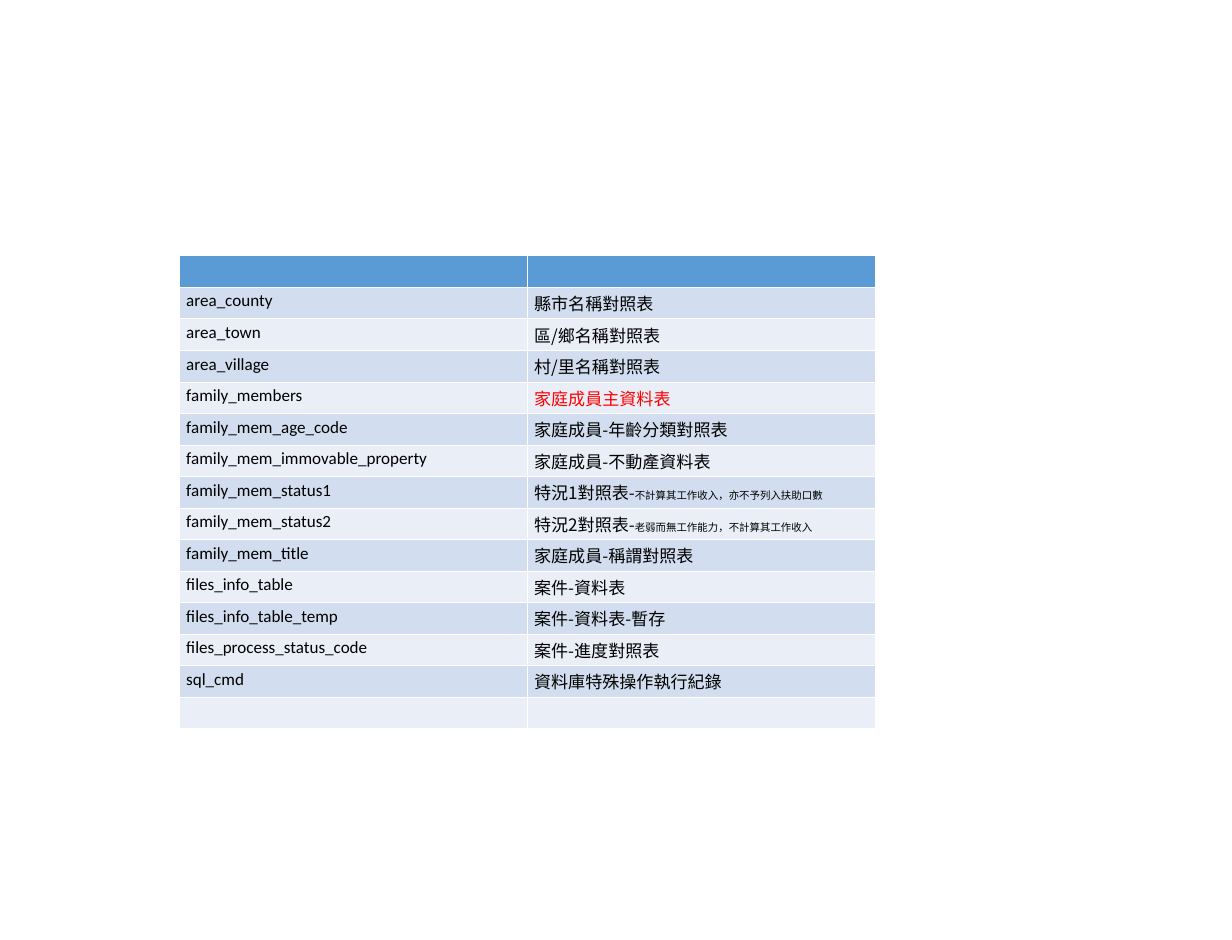
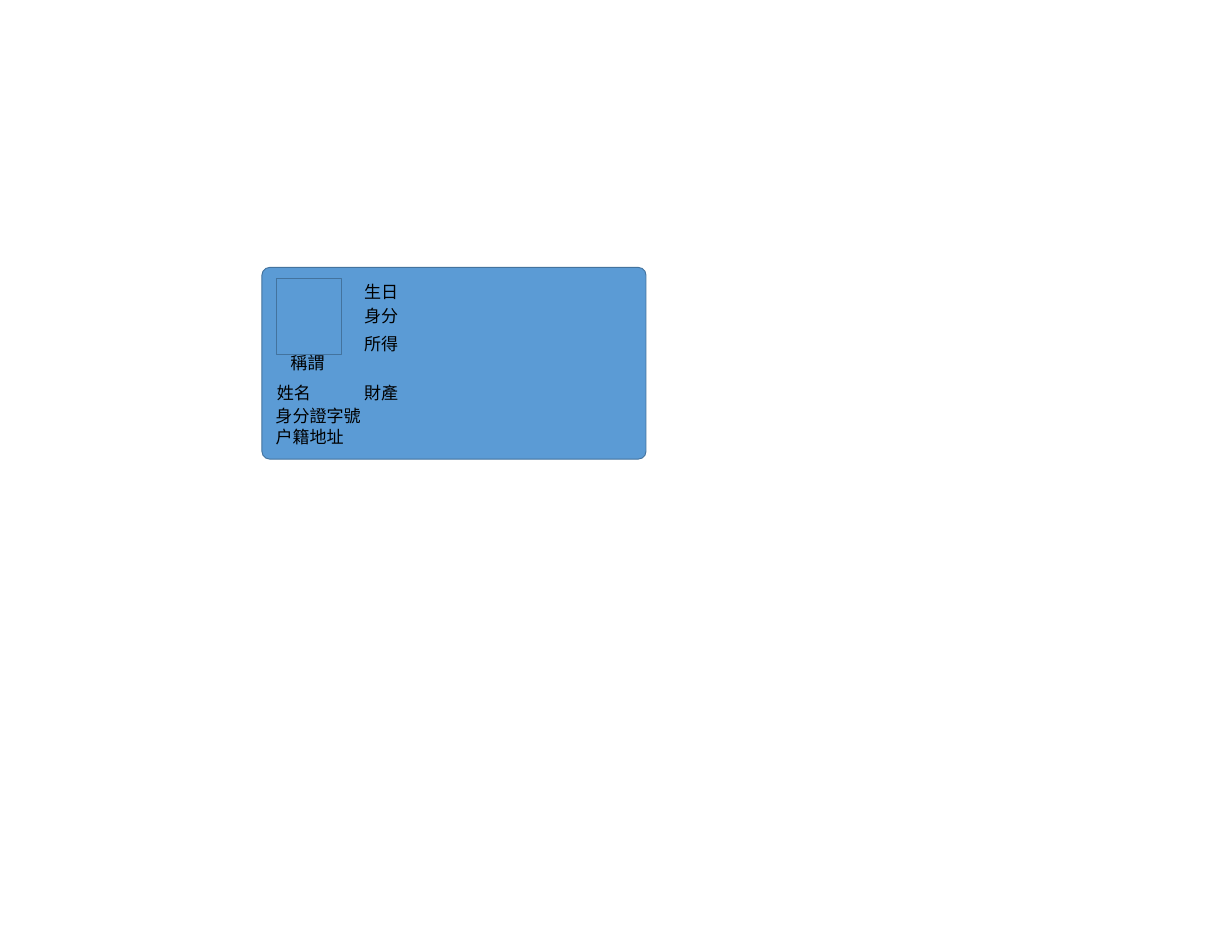
from pptx import Presentation
from pptx.dml.color import RGBColor
from pptx.enum.shapes import MSO_SHAPE
from pptx.enum.text import MSO_AUTO_SIZE
from pptx.oxml.ns import qn
from pptx.util import Inches, Pt
from lxml.etree import SubElement

COLORS = {
    "blue": "5B9BD5", "outline": "43739E", "band": "D2DEEF", "pale": "EAEFF7",
    "white": "FFFFFF", "black": "000000", "red": "FF0000",
}
LATIN, CJK = "Calibri", "Noto Sans CJK TC"
TEXT_SIZE, NOTE_SIZE = 18, 11

TABLES = [
    ("", ""),
    ("area_county", "縣市名稱對照表"),
    ("area_town", "區/鄉名稱對照表"),
    ("area_village", "村/里名稱對照表"),
    ("family_members", "家庭成員主資料表"),
    ("family_mem_age_code", "家庭成員-年齡分類對照表"),
    ("family_mem_immovable_property", "家庭成員-不動產資料表"),
    ("family_mem_status1", "特況1對照表-"),
    ("family_mem_status2", "特況2對照表-"),
    ("family_mem_title", "家庭成員-稱謂對照表"),
    ("files_info_table", "案件-資料表"),
    ("files_info_table_temp", "案件-資料表-暫存"),
    ("files_process_status_code", "案件-進度對照表"),
    ("sql_cmd", "資料庫特殊操作執行紀錄"),
    ("", ""),
]
NOTES = {
    "family_mem_status1": "不計算其工作收入，亦不予列入扶助口數",
    "family_mem_status2": "老弱而無工作能力，不計算其工作收入",
}
MAIN_TABLE = "family_members"
COL_W, ROW_H = 5.1, 0.46

CARD = (3.84, 3.92, 5.63, 2.81)
PHOTO = (4.06, 4.08, 0.94, 1.12)
FIELD_X = 5.24
LABELS = [
    ("稱謂", 4.16, 5.12, 0.71),
    ("姓名", 3.96, 5.56, 0.71),
    ("身分證字號", 3.94, 5.89, 1.46),
    ("生日", FIELD_X, 4.08, 0.71),
    ("身分", FIELD_X, 4.43, 0.71),
    ("所得", FIELD_X, 4.84, 0.71),
    ("財產", FIELD_X, 5.56, 0.71),
    ("戶籍地址", 3.94, 6.2, 1.21),
]
LABEL_H = 0.4


def rgb(name):
    return RGBColor.from_string(COLORS[name])


def set_font(p, latin, color="black"):
    p.font.size = Pt(TEXT_SIZE)
    p.font.bold = False
    p.font.color.rgb = rgb(color)
    p.font.name = latin
    props = p._p.get_or_add_pPr().find(qn("a:defRPr"))
    SubElement(props, qn("a:ea")).set("typeface", CJK)


def set_borders(cell):
    props = cell._tc.get_or_add_tcPr()
    for i, side in enumerate(("lnL", "lnR", "lnT", "lnB")):
        ln = props.makeelement(qn(f"a:{side}"), {"w": str(Pt(1))})
        fill = SubElement(ln, qn("a:solidFill"))
        SubElement(fill, qn("a:srgbClr")).set("val", COLORS["white"])
        props.insert(i, ln)


def add_box(s, kind, box):
    sp = s.shapes.add_shape(kind, *map(Inches, box))
    sp.shadow.inherit = False
    sp.fill.solid()
    sp.fill.fore_color.rgb = rgb("blue")
    sp.line.color.rgb = rgb("outline")
    sp.line.width = Pt(1)
    return sp


def add_label(s, text, x, y, w):
    tf = s.shapes.add_textbox(*map(Inches, (x, y, w, LABEL_H))).text_frame
    tf.word_wrap = False
    tf.auto_size = MSO_AUTO_SIZE.SHAPE_TO_FIT_TEXT
    p = tf.paragraphs[0]
    p.text = text
    set_font(p, LATIN)


def add_table_list(s):
    table = s.shapes.add_table(
        len(TABLES), 2, Inches(2.63), Inches(3.75),
        Inches(2 * COL_W), Inches(len(TABLES) * ROW_H)).table
    for col in table.columns:
        col.width = Inches(COL_W)
    for i, row in enumerate(TABLES):
        table.rows[i].height = Inches(ROW_H)
        fill = "blue" if i == 0 else "band" if i % 2 else "pale"
        for j, text in enumerate(row):
            cell = table.cell(i, j)
            cell.fill.solid()
            cell.fill.fore_color.rgb = rgb(fill)
            set_borders(cell)
            p = cell.text_frame.paragraphs[0]
            p.text = text
            red = j == 1 and row[0] == MAIN_TABLE
            set_font(p, CJK if j else LATIN, "red" if red else "black")
            if j == 1 and row[0] in NOTES:
                r = p.add_run()
                r.text = NOTES[row[0]]
                r.font.size = Pt(NOTE_SIZE)


prs = Presentation()
prs.slide_width, prs.slide_height = Inches(18.06), Inches(13.78)
blank = prs.slide_layouts[6]

add_table_list(prs.slides.add_slide(blank))

s = prs.slides.add_slide(blank)
card = add_box(s, MSO_SHAPE.ROUNDED_RECTANGLE, CARD)
card.adjustments[0] = 0.04
add_box(s, MSO_SHAPE.RECTANGLE, PHOTO)
for label in LABELS:
    add_label(s, *label)

prs.save("out.pptx")
